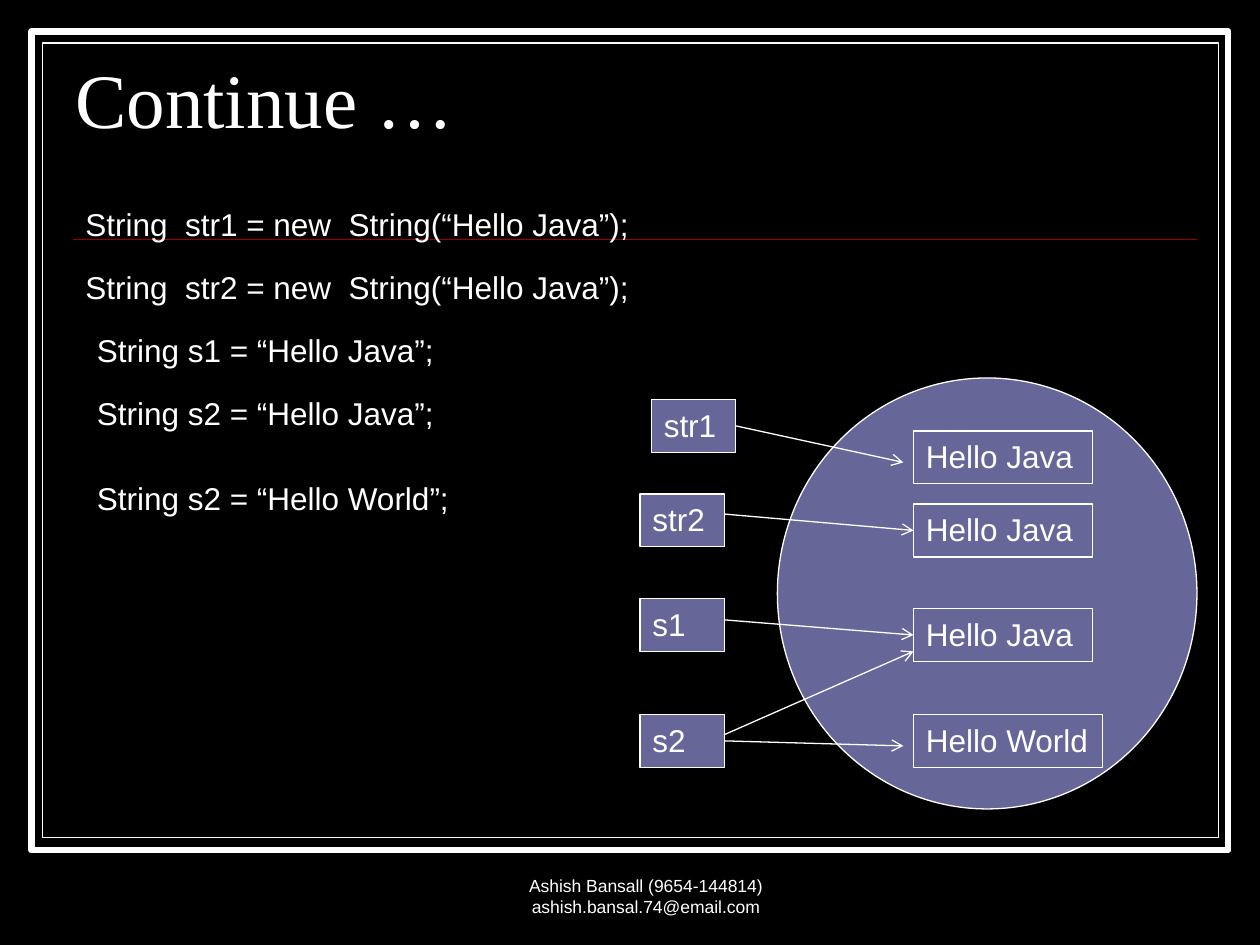
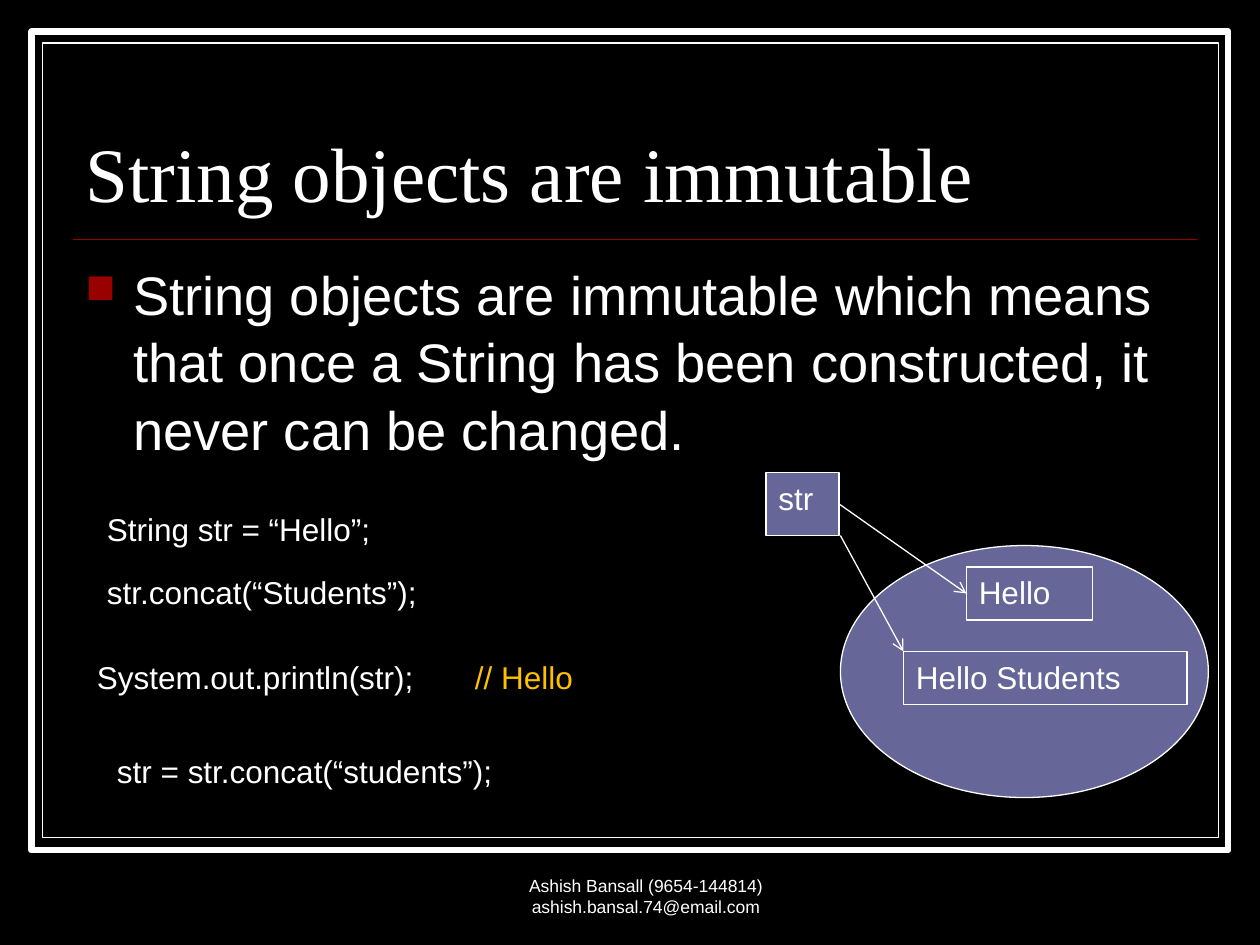
from lxml.etree import SubElement
from pptx import Presentation
from pptx.dml.color import RGBColor
from pptx.enum.shapes import MSO_CONNECTOR, MSO_SHAPE
from pptx.enum.text import MSO_ANCHOR, PP_ALIGN
from pptx.oxml.ns import qn
from pptx.util import Inches, Pt

# Shared look
BLACK, WHITE, RED = "000000", "FFFFFF", "990000"
VIOLET, AMBER = "666699", "FFC000"
BODY_FONT, TITLE_FONT = "Arial", "Times New Roman"
FOOTER = "Ashish Bansall (9654-144814) ashish.bansal.74@email.com"
LEFT, RIGHT = 1, 3  # connection sites of a rectangle
BOX_H = 0.42


def color(value):
    return RGBColor.from_string(value)


def write(tf, text, size=18, font=BODY_FONT, fill=WHITE, align=PP_ALIGN.LEFT,
          anchor=MSO_ANCHOR.TOP, spacing=None):
    tf.word_wrap = True
    tf.vertical_anchor = anchor
    p = tf.paragraphs[0]
    p.alignment = align
    if spacing:
        p.line_spacing = spacing
    r = p.add_run()
    r.text = text
    r.font.size, r.font.name = Pt(size), font
    r.font.color.rgb = color(fill)
    return p


def add_text(s, text, left, top, width, height=0.4, **fmt):
    box = s.shapes.add_textbox(*map(Inches, (left, top, width, height)))
    return write(box.text_frame, text, **fmt)


def add_bullet(p, mark, fill, percent, indent):
    pPr = p._p.get_or_add_pPr()
    pPr.set("marL", str(Inches(indent)))
    pPr.set("indent", str(-Inches(indent)))
    bu_clr = SubElement(pPr, qn("a:buClr"))
    SubElement(bu_clr, qn("a:srgbClr"), val=fill)
    SubElement(pPr, qn("a:buSzPct"), val=str(percent * 1000))
    SubElement(pPr, qn("a:buChar"), char=mark)


def add_shape(s, kind, left, top, width, height, fill=VIOLET, weight=0.75):
    sp = s.shapes.add_shape(kind, *map(Inches, (left, top, width, height)))
    sp.shadow.inherit = False
    sp.fill.solid()
    sp.fill.fore_color.rgb = color(fill)
    sp.line.color.rgb = color(WHITE)
    sp.line.width = Pt(weight)
    return sp


def add_box(s, text, left, top, width, height=BOX_H):
    sp = add_shape(s, MSO_SHAPE.RECTANGLE, left, top, width, height)
    write(sp.text_frame, text)
    return sp


def add_line(s, start, end, fill=WHITE, weight=0.75):
    line = s.shapes.add_connector(
        MSO_CONNECTOR.STRAIGHT, *map(Inches, (*start, *end)))
    line.line.color.rgb = color(fill)
    line.line.width = Pt(weight)
    SubElement(line._element.spPr, qn("a:effectLst"))
    return line


def add_arrow(s, start, end, source=None, target=None):
    """Arrow between points; source and target are boxes it is joined to."""
    arrow = add_line(s, start, end)
    SubElement(arrow.line._get_or_add_ln(), qn("a:tailEnd"), type="arrow")
    if source:
        arrow.begin_connect(source, RIGHT)
    if target:
        arrow.end_connect(target, LEFT)


def add_slide(prs, title, left, top, height):
    s = prs.slides.add_slide(prs.slide_layouts[6])
    s.background.fill.solid()
    s.background.fill.fore_color.rgb = color(BLACK)
    # Double frame and title rule
    add_shape(s, MSO_SHAPE.RECTANGLE, 0.25, 0.25, 9.5, 6.5, BLACK, 3.5)
    add_shape(s, MSO_SHAPE.RECTANGLE, 0.34, 0.34, 9.33, 6.31, BLACK)
    add_line(s, (0.58, 1.9), (9.5, 1.9), RED, 1)
    # Title and footer
    add_text(s, title, left, top, 8.92, height, size=44, font=TITLE_FONT,
             anchor=MSO_ANCHOR.BOTTOM, spacing=0.8)
    add_text(s, FOOTER, 3.54, 6.83, 3.17, 0.5, size=10,
             align=PP_ALIGN.CENTER, anchor=MSO_ANCHOR.BOTTOM)
    return s


def build_references(prs):
    s = add_slide(prs, "Continue …", 0.5, 0.42, 0.77)

    # Code lines
    for text, left, top in (
            ("String  str1 = new  String(“Hello Java”);", 0.58, 1.58),
            ("String  str2 = new  String(“Hello Java”);", 0.58, 2.08),
            ("String s1 = “Hello Java”;", 0.67, 2.58),
            ("String s2 = “Hello Java”;", 0.67, 3.08),
            ("String s2 = “Hello World”;", 0.67, 3.75)):
        add_text(s, text, left, top, 4.58)

    # Heap with its objects, and the variables beside it
    add_shape(s, MSO_SHAPE.OVAL, 6.17, 3, 3.33, 3.42)
    add_box(s, "Hello Java", 7.25, 3.42, 1.42)
    second = add_box(s, "Hello Java", 7.25, 4, 1.42)
    pooled = add_box(s, "Hello Java", 7.25, 4.83, 1.42)
    add_box(s, "Hello World", 7.25, 5.67, 1.5)
    str1, str2, s1, s2 = [
        add_box(s, name, left, top, 0.67) for name, left, top in (
            ("str1", 5.17, 3.17), ("str2", 5.08, 3.92),
            ("s1", 5.08, 4.75), ("s2", 5.08, 5.67))]

    # References
    add_arrow(s, (5.83, 3.38), (7.17, 3.67), source=str1)
    add_arrow(s, (5.75, 4.08), (7.25, 4.21), target=second)
    add_arrow(s, (5.75, 4.92), (7.25, 5.04), target=pooled)
    add_arrow(s, (5.75, 5.83), (7.25, 5.17))
    add_arrow(s, (5.75, 5.88), (7.17, 5.92), source=s2)


def build_immutable(prs):
    s = add_slide(prs, "String objects are immutable", 0.58, 0.52, 1.25)

    # Statement
    p = add_text(s, "String objects are immutable which means that once a "
                 "String has been constructed, it never can be changed.",
                 0.58, 2, 8.92, 1.67, size=31, spacing=1.04)
    add_bullet(p, "■", RED, 75, 0.38)

    # Code lines
    for text, left, top, fill in (
            ("String str = “Hello”;", 0.75, 4, WHITE),
            ("str.concat(“Students”);", 0.75, 4.5, WHITE),
            ("System.out.println(str);", 0.67, 5.17, WHITE),
            ("// Hello", 3.67, 5.17, AMBER),
            ("str = str.concat(“students”);", 0.83, 5.92, WHITE)):
        add_text(s, text, left, top, 3.21, fill=fill)

    # Heap with its objects, and the variable beside it
    add_shape(s, MSO_SHAPE.OVAL, 6.67, 4.33, 2.92, 2)
    hello = add_box(s, "Hello", 7.67, 4.5, 1)
    add_box(s, "Hello Students", 7.17, 5.17, 2.25)
    variable = add_box(s, "str", 6.08, 3.75, 0.58, 0.5)

    # References
    add_arrow(s, (6.67, 4), (7.67, 4.71), source=variable, target=hello)
    add_arrow(s, (6.67, 4.25), (7.17, 5.17))


def main():
    prs = Presentation()
    prs.slide_width, prs.slide_height = Inches(10), Inches(7.5)
    build_references(prs)
    build_immutable(prs)
    prs.save("out.pptx")


if __name__ == "__main__":
    main()
